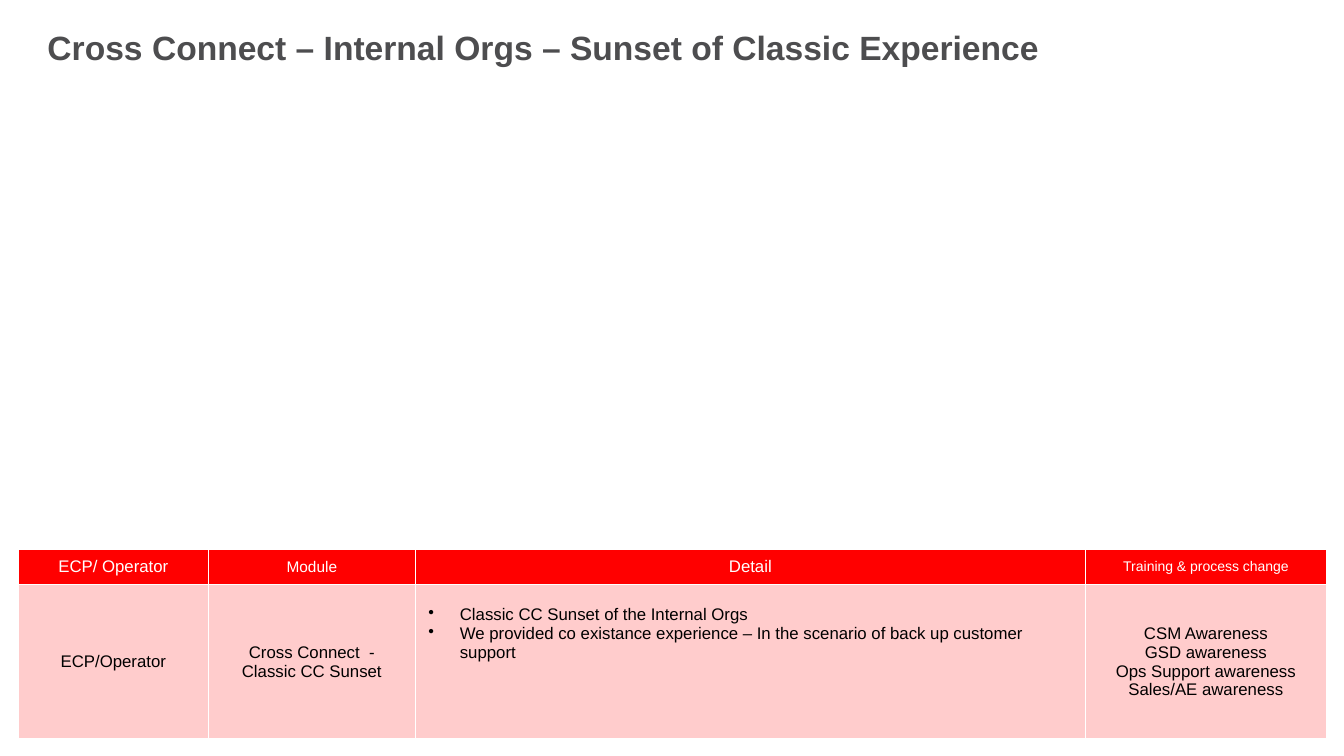
from dataclasses import dataclass

import pptx
import pptx.dml.color
import pptx.enum.text
import pptx.oxml
import pptx.oxml.ns
import pptx.util

Pt = pptx.util.Pt
Align = pptx.enum.text.PP_ALIGN
Anchor = pptx.enum.text.MSO_ANCHOR


@dataclass(frozen=True)
class Theme:
    font: str = "Arial"
    title_color: str = "4D4D4F"
    header_fill: str = "FF0000"
    body_fill: str = "FFCCCC"
    light: str = "FFFFFF"
    dark: str = "000000"
    title_size: int = 24
    text_size: int = 12
    module_size: int = 11
    training_size: int = 10


THEME = Theme()
COLUMN_WIDTHS = (136, 147.6, 478.8, 172)
ROW_HEIGHTS = (25.2, 110.2)
HEADERS = (
    ("ECP/ Operator", THEME.text_size),
    ("Module", THEME.module_size),
    ("Detail", THEME.text_size),
    ("Training & process change", THEME.training_size),
)
BODY = (
    ["ECP/Operator"],
    ["Cross Connect  - Classic CC Sunset"],
    [
        "Classic CC Sunset of the Internal Orgs",
        "We provided co existance experience – In the scenario of back up customer support",
    ],
    ["CSM Awareness", "GSD awareness", "Ops Support awareness", "Sales/AE awareness"],
)
DETAIL_COLUMN = 2


def rgb(color):
    return pptx.dml.color.RGBColor.from_string(color)


def add_bullet(para, indent=22.5):
    properties = para._p.get_or_add_pPr()
    properties.set("marL", str(Pt(indent)))
    properties.set("indent", str(-Pt(indent)))
    bullet = pptx.oxml.ns.qn("a:buChar")
    properties.append(properties.makeelement(bullet, {"char": "•"}))


def write_text(frame, lines, size=THEME.text_size, color=THEME.dark, bold=False,
               align=Align.CENTER, bullets=False):
    for index, line in enumerate(lines):
        para = frame.add_paragraph() if index else frame.paragraphs[0]
        para.alignment = align
        if bullets:
            add_bullet(para)
        span = para.add_run()
        span.text = line
        span.font.name = THEME.font
        span.font.size = Pt(size)
        span.font.bold = bold
        span.font.color.rgb = rgb(color)


def set_borders(cell, color=THEME.light, width=1):
    properties = cell._tc.get_or_add_tcPr()
    namespace = pptx.oxml.ns.nsdecls("a")
    for index, side in enumerate(("lnL", "lnR", "lnT", "lnB")):
        properties.insert(index, pptx.oxml.parse_xml(
            f'<a:{side} {namespace} w="{Pt(width)}"><a:solidFill>'
            f'<a:srgbClr val="{color}"/></a:solidFill></a:{side}>'))


def format_cell(cell, fill, bottom=4.5):
    cell.vertical_anchor = Anchor.MIDDLE
    cell.margin_left = cell.margin_right = Pt(9.4)
    cell.margin_top = Pt(4.5)
    cell.margin_bottom = Pt(bottom)
    cell.fill.solid()
    cell.fill.fore_color.rgb = rgb(fill)
    set_borders(cell)


def place_title(page, text):
    title = page.shapes.title
    title.left, title.top, title.width, title.height = map(Pt, (24.5, 14.4, 934.5, 46))
    frame = title.text_frame
    frame.auto_size = pptx.enum.text.MSO_AUTO_SIZE.NONE
    frame.word_wrap = True
    frame.vertical_anchor = Anchor.TOP
    frame.margin_left = frame.margin_right = Pt(9.4)
    frame.margin_top = frame.margin_bottom = Pt(5)
    write_text(frame, [text], size=THEME.title_size, color=THEME.title_color,
               bold=True, align=Align.LEFT)


def add_change_table(page):
    table = page.shapes.add_table(
        len(ROW_HEIGHTS), len(COLUMN_WIDTHS), Pt(13), Pt(392.4),
        Pt(sum(COLUMN_WIDTHS)), Pt(sum(ROW_HEIGHTS))).table
    table.horz_banding = False
    for row, height in zip(table.rows, ROW_HEIGHTS):
        row.height = Pt(height)
    for index, width in enumerate(COLUMN_WIDTHS):
        table.columns[index].width = Pt(width)
        label, size = HEADERS[index]
        header, body = table.cell(0, index), table.cell(1, index)
        format_cell(header, THEME.header_fill)
        write_text(header.text_frame, [label], size=size, color=THEME.light)
        is_detail = index == DETAIL_COLUMN
        format_cell(body, THEME.body_fill, bottom=44.5 if is_detail else 4.5)
        write_text(body.text_frame, BODY[index], bullets=is_detail,
                   align=Align.LEFT if is_detail else Align.CENTER)


def main():
    deck = pptx.Presentation()
    deck.slide_width, deck.slide_height = Pt(960), Pt(540)
    page = deck.slides.add_slide(deck.slide_layouts.get_by_name("Title Only"))
    place_title(page, "Cross Connect – Internal Orgs – Sunset of Classic Experience")
    add_change_table(page)
    deck.save("out.pptx")


if __name__ == "__main__":
    main()
